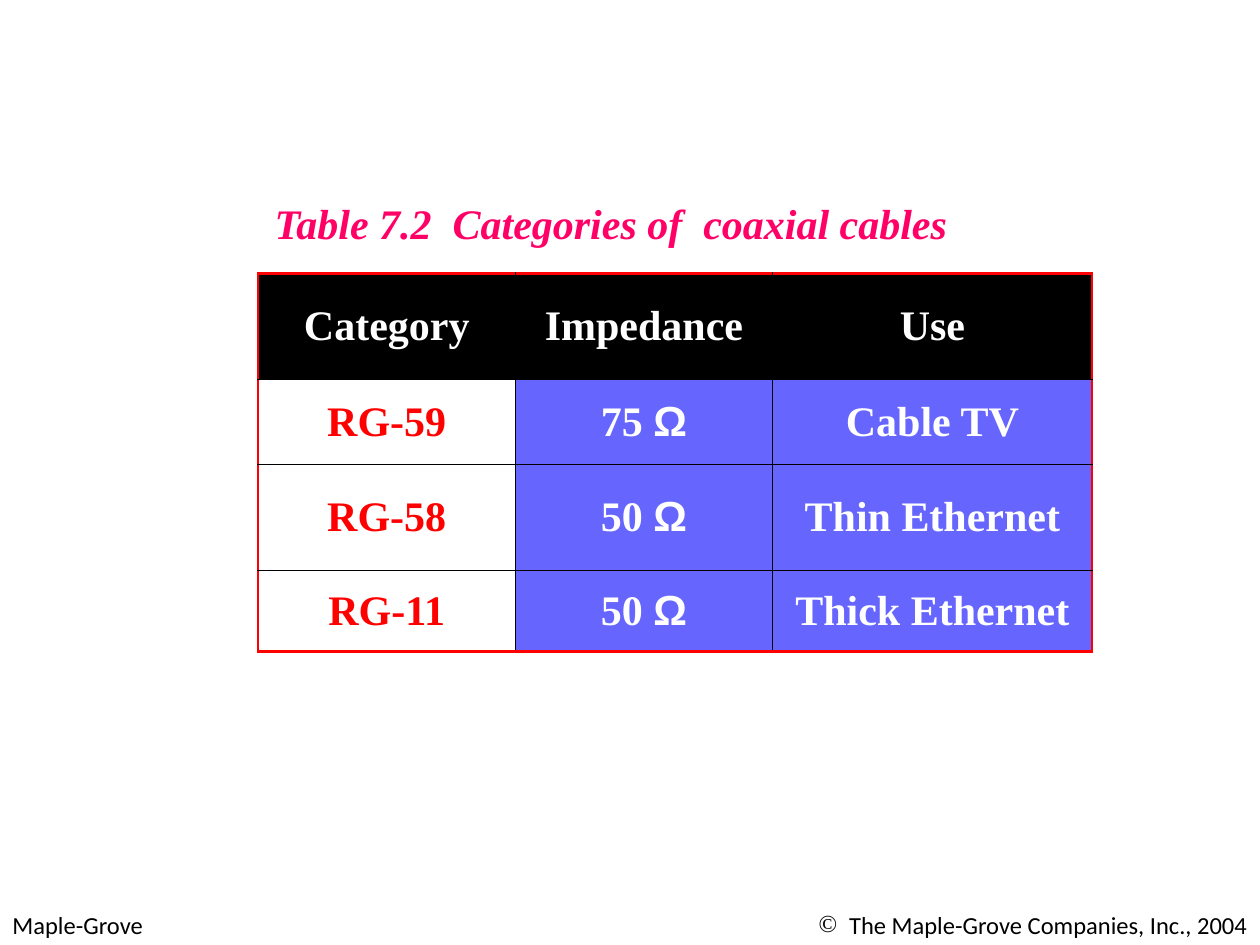
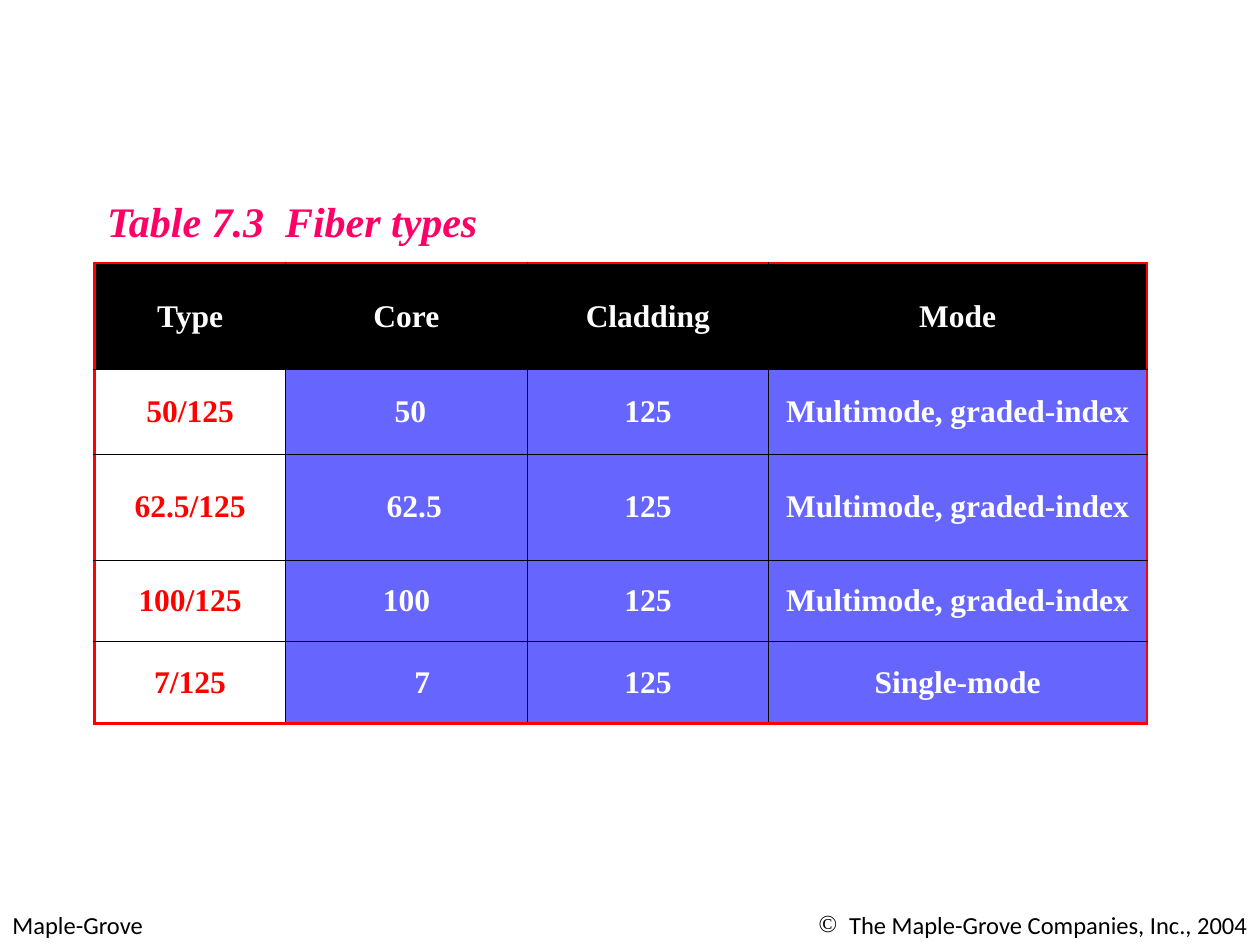
"""Build two slides of cable tables with a shared title style and footer."""
from dataclasses import dataclass

from lxml.etree import SubElement
from pptx import Presentation
from pptx.dml.color import RGBColor
from pptx.enum.text import MSO_ANCHOR, MSO_AUTO_SIZE, PP_ALIGN
from pptx.oxml.ns import qn
from pptx.util import Pt

SLIDES = [
    {
        "title": "Table 7.2  Categories of  coaxial cables",
        "place": (149.75, 109.5, 401, 36),
        "table": (147.5, 156.25),
        "size": 24,
        "cols": [147, 147, 182.75],
        "rows": [
            ("Category", "Impedance", "Use"),
            ("RG-59", "75 Ω", "Cable TV"),
            ("RG-58", "50 Ω", "Thin Ethernet"),
            ("RG-11", "50 Ω", "Thick Ethernet"),
        ],
        "pads": {},
    },
    {
        "title": "Table 7.3  Fiber types",
        "place": (54, 108, 228, 36),
        "table": (54, 150.5),
        "size": 18,
        "cols": [109.25, 138, 138, 216],
        "rows": [
            ("Type", "Core", "Cladding", "Mode"),
            ("50/125", "50", "125", "Multimode, graded-index"),
            ("62.5/125", "62.5", "125", "Multimode, graded-index"),
            ("100/125", "100", "125", "Multimode, graded-index"),
            ("7/125", "7", "125", "Single-mode"),
        ],
        "pads": {(1, 1): 4.5, (2, 1): 9, (4, 1): 18},
    },
]
HEIGHTS = [60.75, 48.25, 60.75, 46.25, 47]
FOOTERS = [
    ("Maple-Grove", (0, 516.25, 174, 24.5), PP_ALIGN.LEFT, None),
    ("The Maple-Grove Companies, Inc., 2004", (360, 516.25, 360, 24.5), PP_ALIGN.RIGHT, "©"),
]


@dataclass(frozen=True)
class Theme:
    """Colours, fonts and type sizes."""
    black: str = "000000"
    white: str = "FFFFFF"
    red: str = "FF0000"
    pink: str = "FF0066"
    blue: str = "6666FF"
    serif: str = "Times New Roman"
    sans: str = "Calibri"
    sign: str = "Arial"
    title: int = 24
    foot: int = 14
    thick: float = 1.5
    thin: float = 0.45
    inset: float = 7.2
    hang: float = 17.5


THEME = Theme()


def style(run, face, size, color, bold=False, slant=False):
    """Format one run."""
    font = run.font
    font.name, font.size = face, Pt(size)
    font.bold, font.italic = bold, slant
    font.color.rgb = RGBColor.from_string(color)


def move(shape, place):
    """Put a shape at left, top, width and height in points."""
    shape.left, shape.top, shape.width, shape.height = map(Pt, place)


def bullet(para, mark):
    """Give a paragraph a hanging bullet."""
    props = para._p.get_or_add_pPr()
    props.set("marL", str(Pt(THEME.hang)))
    props.set("indent", str(-Pt(THEME.hang)))
    SubElement(props, qn("a:buFont"), typeface=THEME.serif)
    SubElement(props, qn("a:buChar"), char=mark)


def add_foot(slide, layout):
    """Make the footer texts and hand them to the shared layout."""
    for text, place, align, mark in FOOTERS:
        box = slide.shapes.add_textbox(*map(Pt, place))
        box.text_frame.word_wrap = True
        para = box.text_frame.paragraphs[0]
        para.text, para.alignment = text, align
        style(para.runs[0], THEME.sans, THEME.foot, THEME.black)
        if mark:
            bullet(para, mark)
        layout.shapes.element.append(box.element)


def add_title(slide, text, place):
    """Fill and place the title."""
    title = slide.shapes.title
    move(title, place)
    frame = title.text_frame
    frame.text = text
    frame.word_wrap = False
    frame.auto_size = MSO_AUTO_SIZE.NONE
    frame.vertical_anchor = MSO_ANCHOR.TOP
    para = frame.paragraphs[0]
    para.alignment = PP_ALIGN.LEFT
    style(para.runs[0], THEME.serif, THEME.title, THEME.pink, True, True)


def edge(cell, outer):
    """Draw cell borders: thick red outside, thin black inside."""
    props = cell._tc.get_or_add_tcPr()
    for side, out in outer.items():
        width, color = (THEME.thick, THEME.red) if out else (THEME.thin, THEME.black)
        line = SubElement(props, qn(f"a:ln{side}"), w=str(Pt(width)))
        fill = SubElement(line, qn("a:solidFill"))
        SubElement(fill, qn("a:srgbClr"), val=color)


def fill_cell(cell, text, size, ground, ink, pad):
    """Colour a cell and write its text, with the ohm sign in its own font."""
    cell.fill.solid()
    cell.fill.fore_color.rgb = RGBColor.from_string(ground)
    cell.vertical_anchor = MSO_ANCHOR.MIDDLE
    cell.margin_left = Pt(THEME.inset + pad)
    para = cell.text_frame.paragraphs[0]
    para.alignment = PP_ALIGN.CENTER
    head, sign, _ = text.partition("Ω")
    for part, face in ((head, THEME.serif), (sign, THEME.sign)):
        if part:
            run = para.add_run()
            run.text = part
            style(run, face, size, ink, True)


def add_grid(slide, data):
    """Build the table, with a dark head row and a white first column."""
    rows, cols = data["rows"], data["cols"]
    tall = HEIGHTS[:len(rows)]
    place = (*data["table"], sum(cols), sum(tall))
    table = slide.shapes.add_table(len(rows), len(cols), *map(Pt, place)).table
    for col, width in zip(table.columns, cols):
        col.width = Pt(width)
    for row, height in zip(table.rows, tall):
        row.height = Pt(height)
    for r, row in enumerate(rows):
        for c, text in enumerate(row):
            if r == 0:
                ground, ink = THEME.black, THEME.white
            elif c == 0:
                ground, ink = THEME.white, THEME.red
            else:
                ground, ink = THEME.blue, THEME.white
            cell = table.cell(r, c)
            edge(cell, {"L": c == 0, "R": c == len(cols) - 1,
                        "T": r == 0, "B": r == len(rows) - 1})
            fill_cell(cell, text, data["size"], ground, ink, data["pads"].get((r, c), 0))


def main():
    """Build and save the slides."""
    deck = Presentation()
    deck.slide_width, deck.slide_height = Pt(720), Pt(540)
    layout = deck.slide_layouts[5]
    for data in SLIDES:
        slide = deck.slides.add_slide(layout)
        add_title(slide, data["title"], data["place"])
        add_grid(slide, data)
    add_foot(slide, layout)
    deck.save("out.pptx")


if __name__ == "__main__":
    main()
